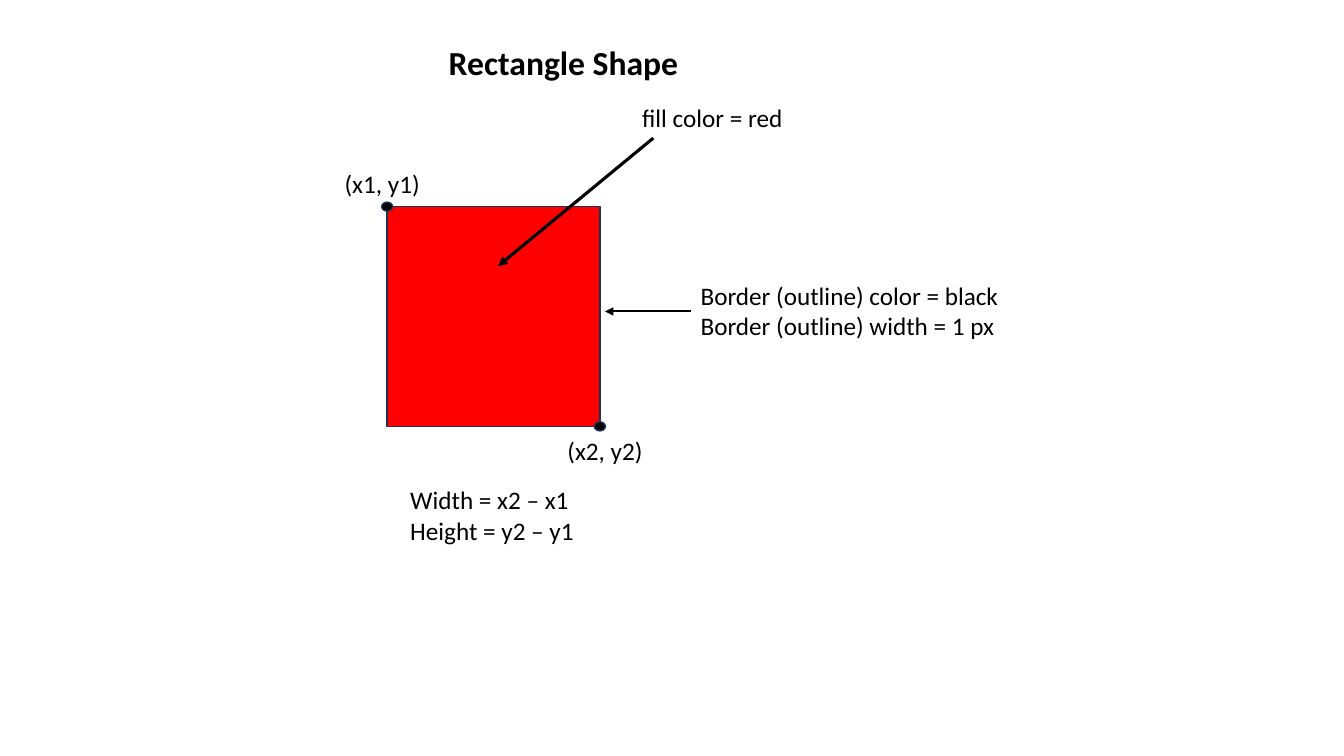
"""Build a slide that explains the properties of a rectangle shape."""
from typing import NamedTuple

from lxml import etree
from pptx import Presentation
from pptx.dml.color import RGBColor
from pptx.enum.shapes import MSO_CONNECTOR, MSO_SHAPE
from pptx.enum.text import MSO_ANCHOR, MSO_AUTO_SIZE, PP_ALIGN
from pptx.oxml.ns import qn
from pptx.util import Inches, Pt

RECTANGLE, OVAL = MSO_SHAPE.RECTANGLE, MSO_SHAPE.OVAL
STRAIGHT = MSO_CONNECTOR.STRAIGHT
TOP, LEFT = MSO_ANCHOR.TOP, PP_ALIGN.LEFT
NO_AUTOFIT, FIT_SHAPE = MSO_AUTO_SIZE.NONE, MSO_AUTO_SIZE.SHAPE_TO_FIT_TEXT
TITLE_ONLY = 5
CELL = Inches(0.1)
FONT = "Calibri"
BLACK, RED, OUTLINE = "000000", "FF0000", "1E3256"


class Area(NamedTuple):
    """A box in columns and rows of the grid."""
    column: float
    row: float
    columns: float
    rows: float


class Label(NamedTuple):
    """A text box and its wording."""
    text: str
    area: Area


class Arrow(NamedTuple):
    """An arrow between two grid points, with its line width in points."""
    start: tuple[float, float]
    end: tuple[float, float]
    width: float


TITLE = Label("Rectangle Shape", Area(43.5, 3.7, 25, 5))
RED_RECTANGLE = Area(38.4, 20.5, 21.1, 21.8)
DOT_COLUMNS, DOT_ROWS = 1.1, 0.9
LABELS = [
    Label("(x1, y1)", Area(33.2, 16.2, 9.6, 4)),
    Label("(x2, y2)", Area(55.3, 42.7, 9.6, 4)),
    Label("Width = x2 – x1\nHeight = y2 – y1", Area(39.7, 47.6, 18.5, 7.1)),
    Label("fill color = red", Area(62.7, 9.7, 16.1, 4)),
    Label("Border (outline) color = black\nBorder (outline) width = 1 px",
          Area(68.5, 27.3, 31.9, 7.1)),
]
ARROWS = [
    Arrow((64.8, 13.7), (49.4, 26.4), 2.25),
    Arrow((68.5, 30.9), (60, 30.9), 1.5),
]


def color(hex_code: str) -> RGBColor:
    """Turn a hex string into a colour."""
    return RGBColor.from_string(hex_code)


def grid(*cells: float) -> list[int]:
    """Turn grid counts into lengths."""
    return [round(count * CELL) for count in cells]


def write(text_frame, text: str, size: float, bold: bool = False) -> None:
    """Fill a text frame with left-aligned black text."""
    text_frame.text = text
    text_frame.word_wrap = False
    text_frame.vertical_anchor = TOP
    for paragraph in text_frame.paragraphs:
        paragraph.alignment = LEFT
        for run in paragraph.runs:
            run.font.name = FONT
            run.font.size = Pt(size)
            run.font.bold = bold
            run.font.color.rgb = color(BLACK)


def draw_title(slide, title: Label) -> None:
    """Place and format the title placeholder."""
    shape = slide.shapes.title
    shape.left, shape.top, shape.width, shape.height = grid(*title.area)
    write(shape.text_frame, title.text, 24, bold=True)
    shape.text_frame.auto_size = NO_AUTOFIT


def draw_shape(slide, kind: MSO_SHAPE, area: Area, fill: str) -> None:
    """Draw a filled preset shape with a thin outline."""
    shape = slide.shapes.add_shape(kind, *grid(*area))
    shape.shadow.inherit = False
    shape.fill.solid()
    shape.fill.fore_color.rgb = color(fill)
    shape.line.color.rgb = color(OUTLINE)
    shape.line.width = Pt(1)


def draw_dot(slide, column: float, row: float) -> None:
    """Draw a black dot centred on a grid point."""
    area = Area(column - DOT_COLUMNS / 2, row - DOT_ROWS / 2, DOT_COLUMNS, DOT_ROWS)
    draw_shape(slide, OVAL, area, BLACK)


def draw_label(slide, label: Label) -> None:
    """Draw one text box."""
    text_frame = slide.shapes.add_textbox(*grid(*label.area)).text_frame
    write(text_frame, label.text, 18)
    text_frame.auto_size = FIT_SHAPE


def draw_arrow(slide, arrow: Arrow) -> None:
    """Draw a black line with a triangle at its end."""
    connector = slide.shapes.add_connector(STRAIGHT, *grid(*arrow.start, *arrow.end))
    connector.line.color.rgb = color(BLACK)
    connector.line.width = Pt(arrow.width)
    properties = connector.element.spPr
    etree.SubElement(properties.find(qn("a:ln")), qn("a:tailEnd"), type="triangle")
    etree.SubElement(properties, qn("a:effectLst"))


def main() -> None:
    """Build and save the presentation."""
    presentation = Presentation()
    presentation.slide_width, presentation.slide_height = Inches(13.33), Inches(7.5)
    slide = presentation.slides.add_slide(presentation.slide_layouts[TITLE_ONLY])
    draw_title(slide, TITLE)
    draw_shape(slide, RECTANGLE, RED_RECTANGLE, RED)
    column, row, columns, rows = RED_RECTANGLE
    draw_dot(slide, column, row)
    draw_dot(slide, column + columns, row + rows)
    for label in LABELS:
        draw_label(slide, label)
    for arrow in ARROWS:
        draw_arrow(slide, arrow)
    presentation.save("out.pptx")


main()
